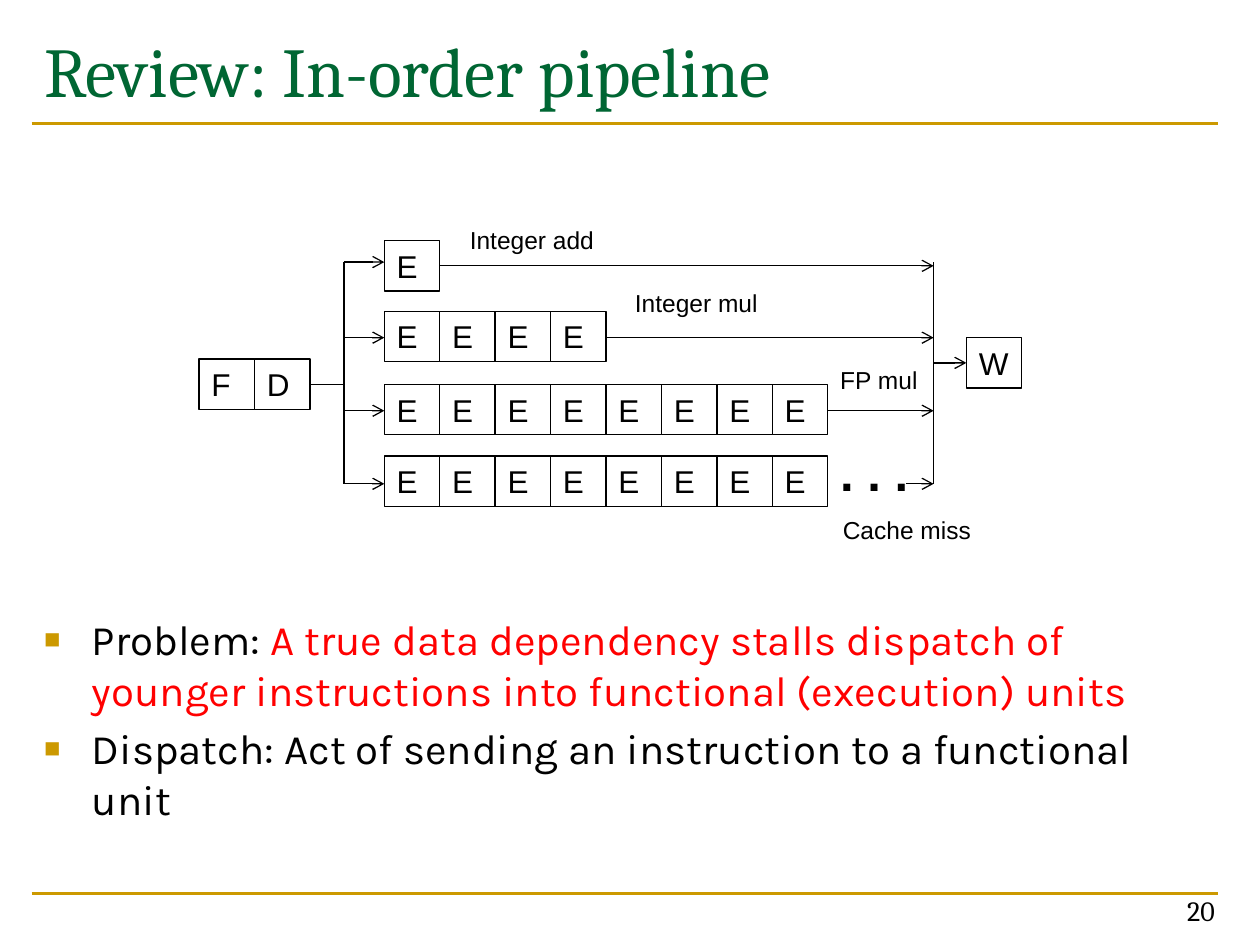
from lxml import etree
from pptx import Presentation
from pptx import util as u
from pptx.dml.color import RGBColor
from pptx.enum import shapes, text
from pptx.oxml.ns import qn

BLACK, WHITE, GOLD, GREEN, RED = "000000", "FFFFFF", "CC9900", "006633", "FF0000"
CELL_W, CELL_H = 0.44, 0.4
FORK_X, STAGE_X, JOIN_X = 2.73, 3.05, 7.41


def rgb(color):
    """Turn a hex string into a colour."""
    return RGBColor.from_string(color)


def place(sp, left, top, width, height):
    """Move and size a shape, in inches."""
    sp.left, sp.top = u.Inches(left), u.Inches(top)
    sp.width, sp.height = u.Inches(width), u.Inches(height)


def set_font(font, name, size, color=BLACK, bold=False):
    """Format a font."""
    font.name, font.size, font.bold = name, u.Pt(size), bold
    font.color.rgb = rgb(color)


def add_line(slide, x1, y1, x2, y2, color=BLACK, width=0.75, arrow=False):
    """Draw a straight line, with an open arrowhead at its end if wanted."""
    line = slide.shapes.add_connector(
        shapes.MSO_CONNECTOR.STRAIGHT,
        u.Inches(x1), u.Inches(y1), u.Inches(x2), u.Inches(y2))
    line.line.color.rgb = rgb(color)
    line.line.width = u.Pt(width)
    if arrow:
        etree.SubElement(line.line._get_or_add_ln(), qn("a:tailEnd"), type="arrow")
    etree.SubElement(line._element.spPr, qn("a:effectLst"))


def add_stages(slide, left, top, letters):
    """Draw a row of adjoining pipeline stages, one per letter."""
    for i, letter in enumerate(letters):
        sp = slide.shapes.add_shape(
            shapes.MSO_SHAPE.RECTANGLE, u.Inches(left + i * CELL_W),
            u.Inches(top), u.Inches(CELL_W), u.Inches(CELL_H))
        sp.shadow.inherit = False
        sp.fill.solid()
        sp.fill.fore_color.rgb = rgb(WHITE)
        sp.line.color.rgb = rgb(BLACK)
        sp.line.width = u.Pt(0.75)
        tf = sp.text_frame
        tf.vertical_anchor = text.MSO_ANCHOR.MIDDLE
        p = tf.paragraphs[0]
        p.text = letter
        p.alignment = text.PP_ALIGN.LEFT
        set_font(p.font, "Arial", 18)


def add_label(slide, left, top, width, height, words, size=14, bold=False):
    """Add a one-line diagram label."""
    sp = slide.shapes.add_textbox(
        u.Inches(left), u.Inches(top), u.Inches(width), u.Inches(height))
    tf = sp.text_frame
    tf.word_wrap = False
    tf.auto_size = text.MSO_AUTO_SIZE.SHAPE_TO_FIT_TEXT
    p = tf.paragraphs[0]
    p.text = words
    set_font(p.font, "Arial", size, bold=bold)


def add_bullet(p, runs):
    """Fill a paragraph with coloured runs behind a square gold bullet."""
    p.space_before = u.Pt(4.8)
    p.font.name, p.font.size = "Karla", u.Pt(24)
    for words, color in runs:
        r = p.add_run()
        r.text = words
        r.font.color.rgb = rgb(color)
    pPr = p._p.get_or_add_pPr()
    pPr.set("marL", str(u.Inches(0.38)))
    pPr.set("indent", str(-u.Inches(0.38)))
    bu_color = etree.Element(qn("a:buClr"))
    etree.SubElement(bu_color, qn("a:srgbClr"), val=GOLD)
    bu_size = etree.Element(qn("a:buSzPct"), val="65000")
    bu_char = etree.Element(qn("a:buChar"), char="\u25a0")
    at = pPr.index(pPr.find(qn("a:spcBef"))) + 1
    pPr[at:at] = [bu_color, bu_size, bu_char]


def add_title(slide, words):
    """Fill the title placeholder."""
    title = slide.shapes.title
    place(title, 0.25, 0.17, 9.42, 1.17)
    tf = title.text_frame
    tf.auto_size = text.MSO_AUTO_SIZE.NONE
    tf.vertical_anchor = text.MSO_ANCHOR.TOP
    p = tf.paragraphs[0]
    p.text = words
    p.alignment = text.PP_ALIGN.LEFT
    set_font(p.font, "Cambria", 40, GREEN)


def add_body(slide, items):
    """Fill the body placeholder with bullets."""
    body = slide.placeholders[1]
    place(body, 0.25, 4.82, 9.42, 1.95)
    tf = body.text_frame
    tf.auto_size = text.MSO_AUTO_SIZE.NONE
    for i, runs in enumerate(items):
        add_bullet(tf.add_paragraph() if i else tf.paragraphs[0], runs)


def add_page_number(slide, number):
    """Add the page number at the bottom right."""
    sp = slide.shapes.add_textbox(
        u.Inches(7.41), u.Inches(6.91), u.Inches(2.33), u.Inches(0.5))
    tf = sp.text_frame
    tf.word_wrap = True
    tf.vertical_anchor = text.MSO_ANCHOR.BOTTOM
    p = tf.paragraphs[0]
    p.text = number
    p.alignment = text.PP_ALIGN.RIGHT
    set_font(p.font, "Cambria", 16)


def add_pipeline(slide):
    """Draw the pipeline: fetch and decode, four execution units, write-back."""
    add_stages(slide, 1.58, 2.85, "FD")
    add_stages(slide, 7.67, 2.68, "W")
    add_line(slide, 2.46, 3.05, FORK_X, 3.05)
    for x in (FORK_X, JOIN_X):
        add_line(slide, x, 2.08, x, 3.84)
    add_line(slide, JOIN_X, 2.88, 7.67, 2.88, arrow=True)

    # stage count, row top, entry arrow y, exit arrow start x, exit arrow y
    units = [
        (1, 1.91, 2.08, 3.49, 2.11),
        (4, 2.47, 2.68, 4.81, 2.68),
        (8, 3.05, 3.26, 6.57, 3.26),
        (8, 3.62, 3.84, 7.19, 3.84),
    ]
    for count, top, entry_y, exit_x, exit_y in units:
        add_stages(slide, STAGE_X, top, "E" * count)
        add_line(slide, FORK_X, entry_y, STAGE_X, entry_y, arrow=True)
        add_line(slide, exit_x, exit_y, JOIN_X, exit_y, arrow=True)

    add_label(slide, 6.57, 3.46, 0.75, 0.57, ". . .", 28, True)
    for left, top, width, words in [
            (3.63, 1.74, 1.19, "Integer add"),
            (4.94, 2.24, 1.18, "Integer mul"),
            (6.57, 2.85, 0.82, "FP mul"),
            (6.59, 4.04, 1.22, "Cache miss")]:
        add_label(slide, left, top, width, 0.34, words)


def main():
    """Build the slide and save it."""
    prs = Presentation()
    prs.slide_width, prs.slide_height = u.Inches(10), u.Inches(7.5)
    slide = prs.slides.add_slide(prs.slide_layouts[1])
    for y in (0.98, 7.09):
        add_line(slide, 0.25, y, 9.67, y, GOLD, 1.5)
    add_title(slide, "Review: In-order pipeline")
    add_body(slide, [
        [("Problem: ", BLACK),
         ("A true data dependency stalls dispatch of younger instructions "
          "into functional (execution) units", RED)],
        [("Dispatch: Act of sending an instruction to a functional unit", BLACK)],
    ])
    add_page_number(slide, "20")
    add_pipeline(slide)
    prs.save("out.pptx")


main()
